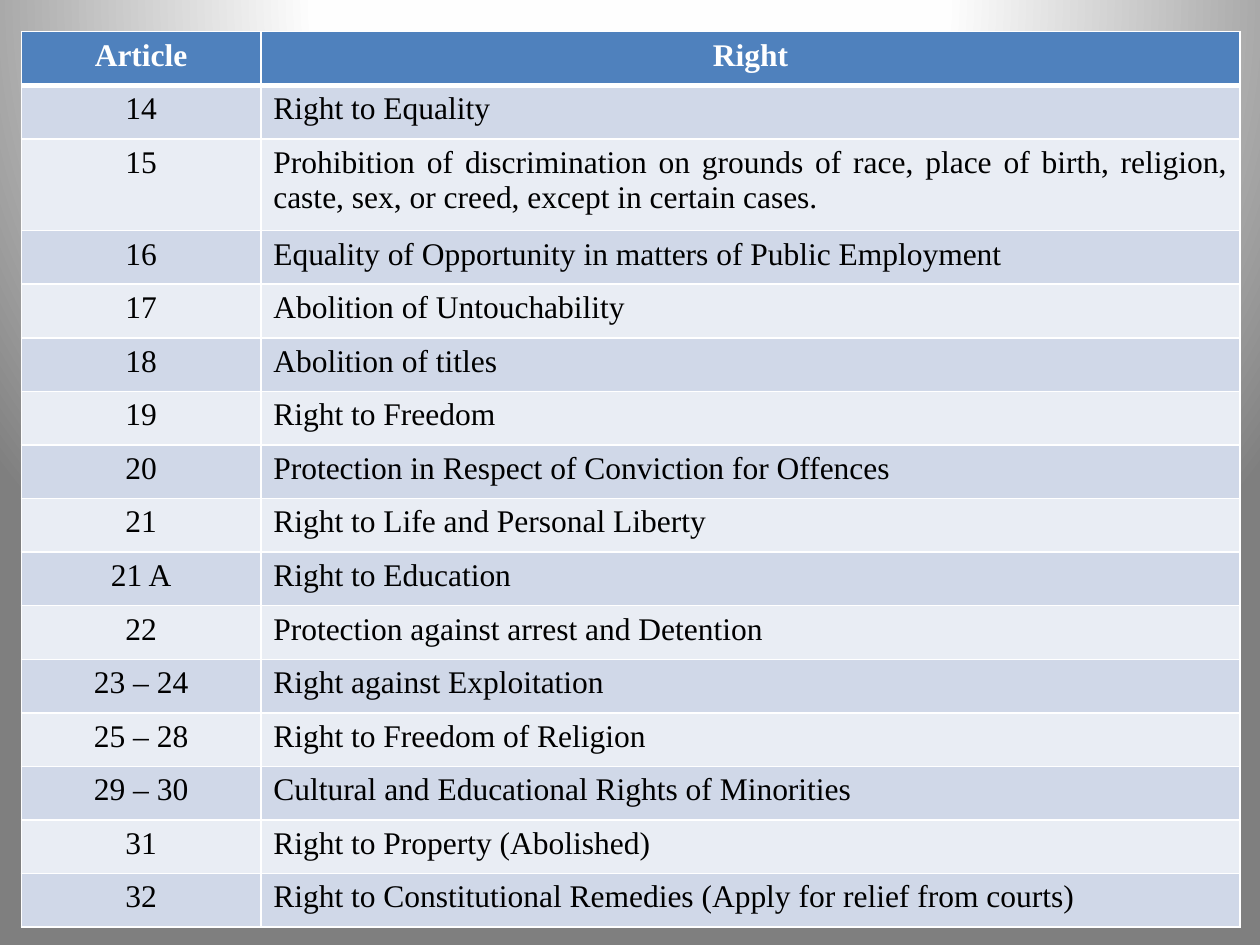
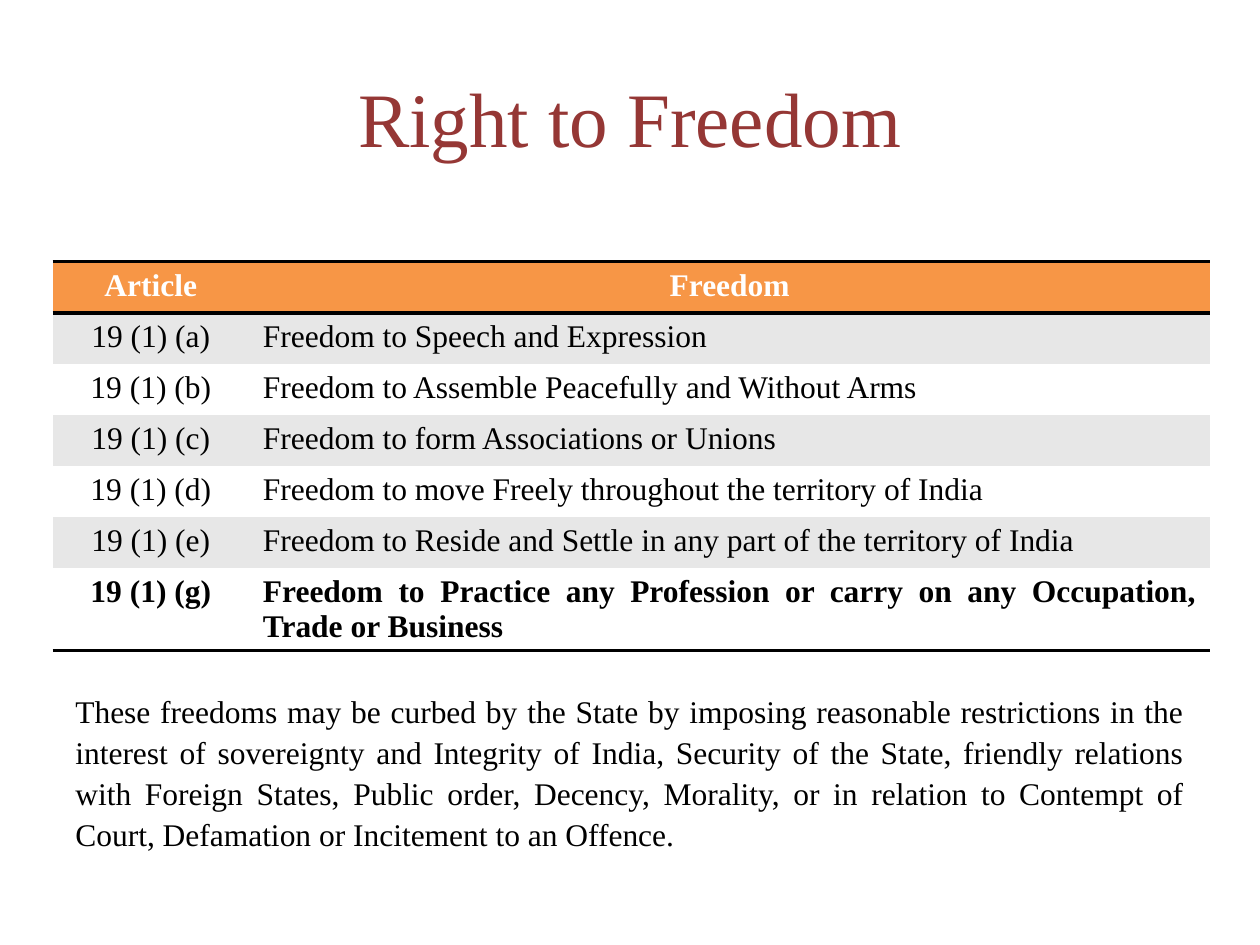
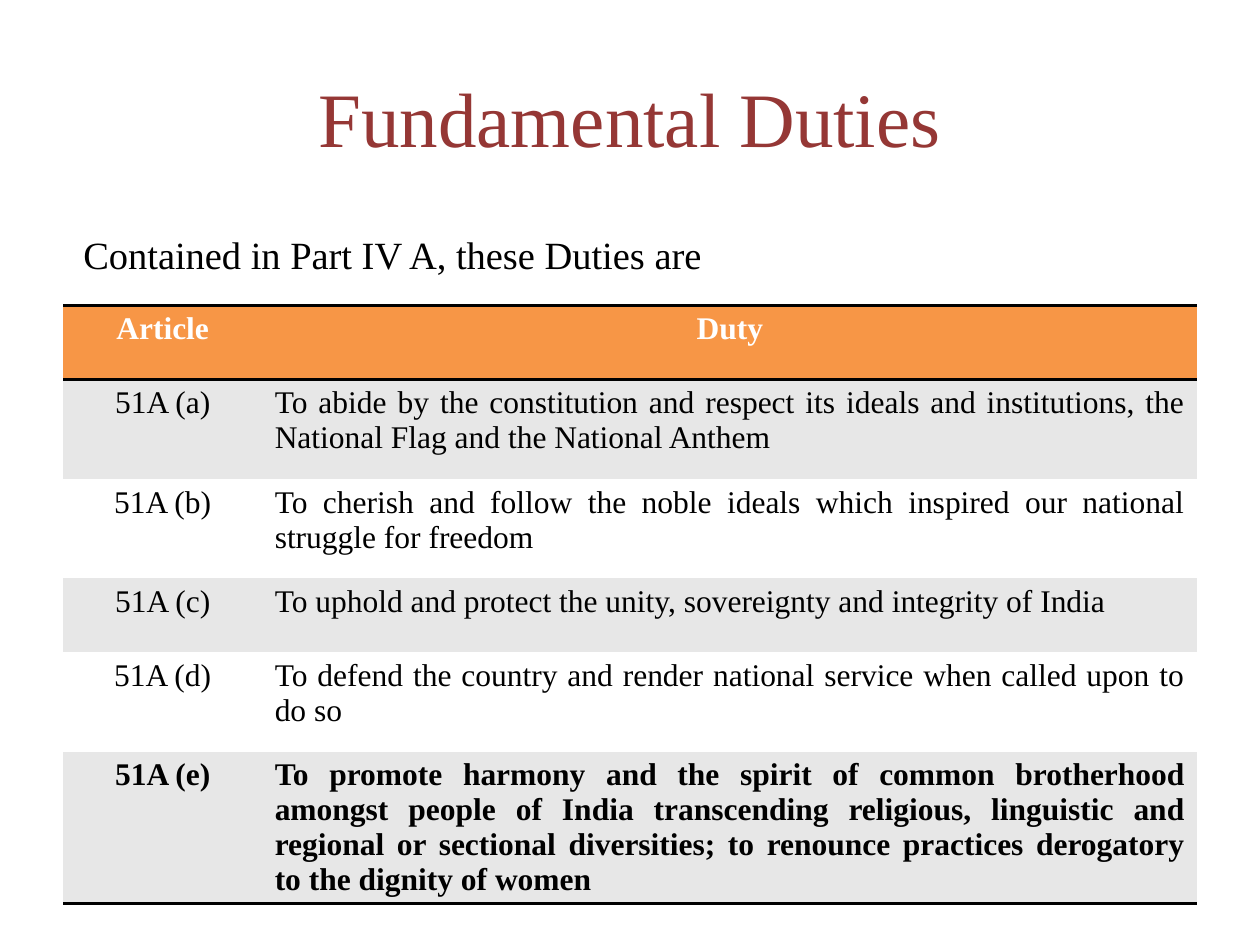
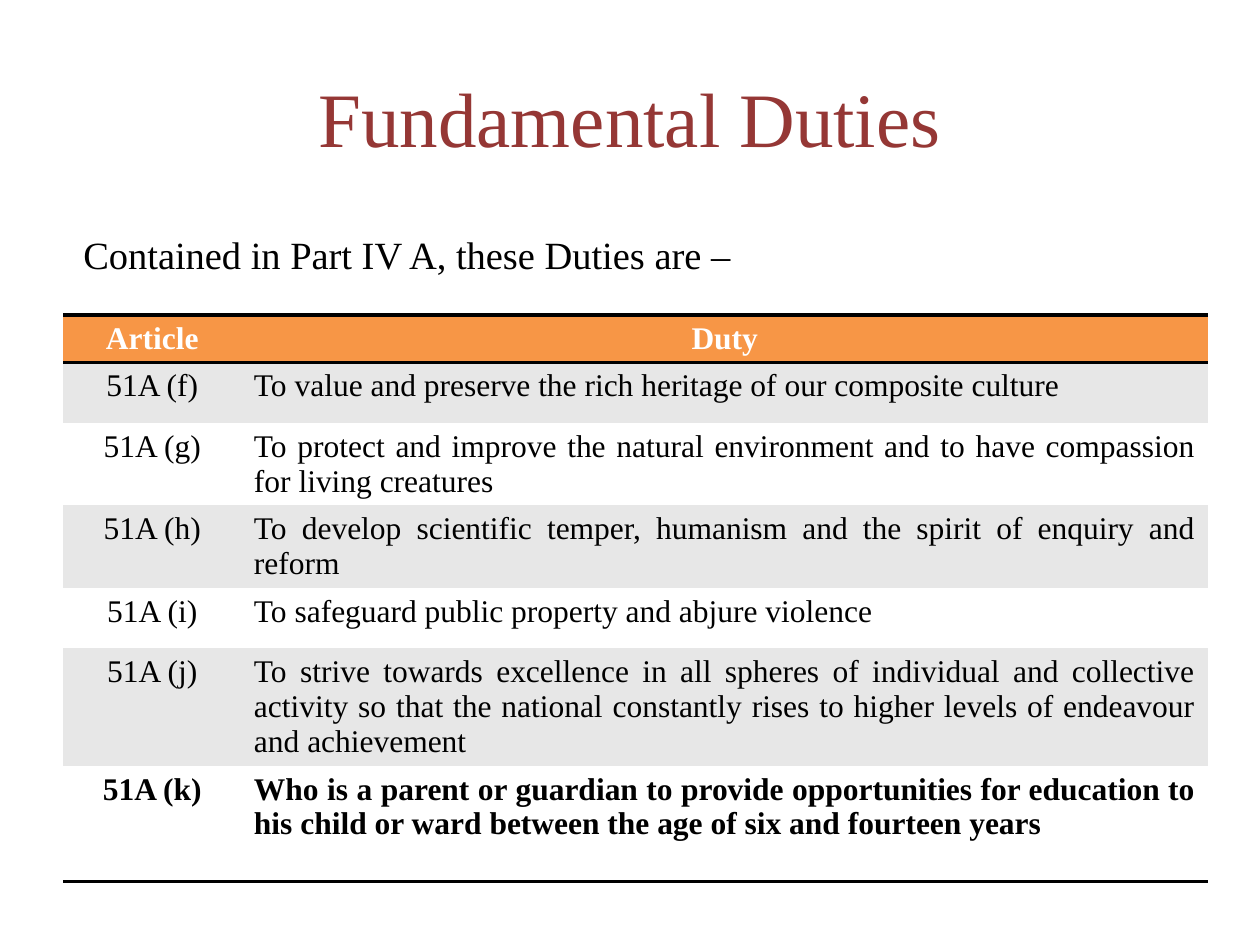
from dataclasses import dataclass
from typing import Any, Optional

import pptx
import pptx.dml.color
import pptx.enum.text
import pptx.oxml
import pptx.oxml.ns
import pptx.slide
import pptx.table
import pptx.text.text
import pptx.util

Cm = pptx.util.Cm
Pt = pptx.util.Pt
RGBColor = pptx.dml.color.RGBColor
Align = pptx.enum.text.PP_ALIGN

WHITE = RGBColor(0xFF, 0xFF, 0xFF)
BLACK = RGBColor(0x00, 0x00, 0x00)
MAROON = RGBColor(0x95, 0x37, 0x35)
BLUE = RGBColor(0x4F, 0x81, 0xBD)
BLUE_BAND = RGBColor(0xD0, 0xD8, 0xE8)
BLUE_PALE = RGBColor(0xE9, 0xED, 0xF4)
ORANGE = RGBColor(0xF7, 0x96, 0x46)
GREY_BAND = RGBColor(0xE7, 0xE7, 0xE7)

FONT_NAME = "Times New Roman"
TITLE_ONLY, BLANK = 5, 6
PLAIN_TABLE_STYLE = "{2D5ABB26-0587-4C30-8999-92F81FD0307C}"
SPOTLIGHT = (
    f'<a:gradFill {pptx.oxml.ns.nsdecls("a")} rotWithShape="1"><a:gsLst>'
    '<a:gs pos="0"><a:srgbClr val="FFFFFF"/></a:gs>'
    '<a:gs pos="40000"><a:srgbClr val="FEFEFE"/></a:gs>'
    '<a:gs pos="100000"><a:srgbClr val="7F7F7F"/></a:gs></a:gsLst>'
    '<a:path path="circle">'
    '<a:fillToRect l="50000" t="-80000" r="50000" b="180000"/>'
    "</a:path></a:gradFill>"
)


@dataclass(frozen=True)
class TableLook:
    header: RGBColor
    bands: tuple[RGBColor, RGBColor]
    line: RGBColor
    grid: bool
    bold_last_row: bool


@dataclass(frozen=True)
class ArticleTable:
    """Lengths are in centimetres."""
    left: float
    top: float
    columns: tuple[float, float]
    row_heights: list[float]
    rows: list[tuple[str, str]]
    look: TableLook
    side_margin: float = 0.25


@dataclass(frozen=True)
class Note:
    text: str
    top: float
    width: float
    height: float
    size: int
    left_margin: float = 0.25


@dataclass(frozen=True)
class Page:
    table: ArticleTable
    title: Optional[str] = None
    note: Optional[Note] = None


GRID_LOOK = TableLook(BLUE, (BLUE_BAND, BLUE_PALE), WHITE, True, False)
RULED_LOOK = TableLook(ORANGE, (GREY_BAND, WHITE), BLACK, False, True)

RIGHTS = [
    ("Article", "Right"),
    ("14", "Right to Equality"),
    ("15", "Prohibition of discrimination on grounds of race, place of birth, "
           "religion, caste, sex, or creed, except in certain cases."),
    ("16", "Equality of Opportunity in matters of Public Employment"),
    ("17", "Abolition of Untouchability"),
    ("18", "Abolition of titles"),
    ("19", "Right to Freedom"),
    ("20", "Protection in Respect of Conviction for Offences"),
    ("21", "Right to Life and Personal Liberty"),
    ("21 A", "Right to Education"),
    ("22", "Protection against arrest and Detention"),
    ("23 – 24", "Right against Exploitation"),
    ("25 – 28", "Right to Freedom of Religion"),
    ("29 – 30", "Cultural and Educational Rights of Minorities"),
    ("31", "Right to Property (Abolished)"),
    ("32", "Right to Constitutional Remedies (Apply for relief from courts)"),
]
FREEDOMS = [
    ("Article", "Freedom"),
    ("19 (1) (a)", "Freedom to Speech and Expression"),
    ("19 (1) (b)", "Freedom to Assemble Peacefully and Without Arms"),
    ("19 (1) (c)", "Freedom to form Associations or Unions"),
    ("19 (1) (d)", "Freedom to move Freely throughout the territory of India"),
    ("19 (1) (e)", "Freedom to Reside and Settle in any part of the territory "
                   "of India"),
    ("19 (1) (g)", "Freedom to Practice any Profession or carry on any "
                   "Occupation, Trade or Business"),
]
DUTIES_A_TO_E = [
    ("Article", "Duty"),
    ("51A (a)", "To abide by the constitution and respect its ideals and "
                "institutions, the National Flag and the National Anthem"),
    ("51A (b)", "To cherish and follow the noble ideals which inspired our "
                "national struggle for freedom"),
    ("51A (c)", "To uphold and protect the unity, sovereignty and integrity "
                "of India"),
    ("51A (d)", "To defend the country and render national service when "
                "called upon to do so"),
    ("51A (e)", "To promote harmony and the spirit of common brotherhood "
                "amongst people of India transcending religious, linguistic "
                "and regional or sectional diversities; to renounce practices "
                "derogatory to the dignity of women"),
]
DUTIES_F_TO_K = [
    ("Article", "Duty"),
    ("51A (f)", "To value and preserve the rich heritage of our composite "
                "culture"),
    ("51A (g)", "To protect and improve the natural environment and to have "
                "compassion for living creatures"),
    ("51A (h)", "To develop scientific temper, humanism and the spirit of "
                "enquiry and reform"),
    ("51A (i)", "To safeguard public property and abjure violence"),
    ("51A (j)", "To strive towards excellence in all spheres of individual "
                "and collective activity so that the national constantly "
                "rises to higher levels of endeavour and achievement"),
    ("51A (k)", "Who is a parent or guardian to provide opportunities for "
                "education to his child or ward between the age of six and "
                "fourteen years"),
]
RESTRICTIONS = (
    "These freedoms may be curbed by the State by imposing reasonable "
    "restrictions in the interest of sovereignty and Integrity of India, "
    "Security of the State, friendly relations with Foreign States, Public "
    "order, Decency, Morality, or in relation to Contempt of Court, "
    "Defamation or Incitement to an Offence."
)


def duties_note(text: str) -> Note:
    return Note(text, 4.45, 21.16, 1.19, size=22, left_margin=0.41)


PAGES = [
    Page(ArticleTable(0.43, 0.64, (4.83, 19.74),
                      [1.08] * 2 + [1.85] + [1.08] * 13, RIGHTS, GRID_LOOK)),
    Page(ArticleTable(1.06, 5.28, (3.96, 19.38), [1.03] * 7, FREEDOMS,
                      RULED_LOOK, side_margin=0.28),
         "Right to Freedom", Note(RESTRICTIONS, 13.77, 22.86, 3.33, size=18)),
    Page(ArticleTable(1.27, 6.15, (4.02, 18.85), [1.5, 2, 2, 1.5, 2, 2.84],
                      DUTIES_A_TO_E, RULED_LOOK),
         "Fundamental Duties",
         duties_note("Contained in Part IV A, these Duties are")),
    Page(ArticleTable(1.27, 6.35, (3.6, 19.48),
                      [0.53, 1.22, 1.63, 1.63, 1.22, 2.34, 2.34],
                      DUTIES_F_TO_K, RULED_LOOK),
         "Fundamental Duties",
         duties_note("Contained in Part IV A, these Duties are –")),
]


def set_attributes(target: Any, values: dict[str, Any]) -> None:
    for name, value in values.items():
        setattr(target, name, value)


def write_text(frame: pptx.text.text.TextFrame, text: str, size: int,
               color: RGBColor, alignment: Align, bold: bool = False) -> None:
    frame.text = text
    paragraph = frame.paragraphs[0]
    paragraph.alignment = alignment
    font = paragraph.runs[0].font
    set_attributes(font, {"name": FONT_NAME, "size": Pt(size), "bold": bold})
    font.color.rgb = color


def border_widths(look: TableLook, row: int, last_row: int) -> dict[str, int]:
    """Line width in points for each edge of a cell in the given row."""
    if look.grid:
        return {"L": 1, "R": 1, "T": 3 if row == 1 else 1,
                "B": 3 if row == 0 else 1}
    widths = {"T": 2} if row == 0 else {}
    if row in (0, last_row):
        widths["B"] = 2
    return widths


def add_borders(cell: pptx.table._Cell, widths: dict[str, int],
                color: RGBColor) -> None:
    properties = cell._tc.get_or_add_tcPr()
    for edge, width in widths.items():
        properties.append(pptx.oxml.parse_xml(
            f'<a:ln{edge} {pptx.oxml.ns.nsdecls("a")} w="{Pt(width)}">'
            f'<a:solidFill><a:srgbClr val="{color}"/></a:solidFill>'
            f"</a:ln{edge}>"))


def add_article_table(slide: pptx.slide.Slide, content: ArticleTable) -> None:
    look = content.look
    last_row = len(content.rows) - 1
    frame = slide.shapes.add_table(
        len(content.rows), len(content.columns), Cm(content.left),
        Cm(content.top), Cm(sum(content.columns)), Cm(sum(content.row_heights)))
    table = frame.table
    table._tbl.tblPr.find(
        pptx.oxml.ns.qn("a:tableStyleId")).text = PLAIN_TABLE_STYLE
    table.horz_banding = False
    for column, width in zip(table.columns, content.columns):
        column.width = Cm(width)
    for row, (texts, height) in enumerate(
            zip(content.rows, content.row_heights)):
        table.rows[row].height = Cm(height)
        is_header = row == 0
        bold = is_header or (look.bold_last_row and row == last_row)
        for column, text in enumerate(texts):
            cell = table.cell(row, column)
            set_attributes(cell, {"margin_left": Cm(content.side_margin),
                                  "margin_right": Cm(content.side_margin)})
            centred = is_header or column == 0
            write_text(cell.text_frame, text, 18,
                       WHITE if is_header else BLACK,
                       Align.CENTER if centred else Align.JUSTIFY, bold)
            add_borders(cell, border_widths(look, row, last_row), look.line)
            cell.fill.solid()
            cell.fill.fore_color.rgb = (
                look.header if is_header else look.bands[(row - 1) % 2])


def add_note(slide: pptx.slide.Slide, note: Note) -> None:
    box = slide.shapes.add_textbox(
        Cm(1.27), Cm(note.top), Cm(note.width), Cm(note.height))
    frame = box.text_frame
    set_attributes(frame, {
        "word_wrap": True,
        "auto_size": pptx.enum.text.MSO_AUTO_SIZE.SHAPE_TO_FIT_TEXT,
        "margin_left": Cm(note.left_margin),
    })
    write_text(frame, note.text, note.size, BLACK, Align.JUSTIFY)
    frame.paragraphs[0].line_spacing = 1.08


def add_title(slide: pptx.slide.Slide, text: str) -> None:
    title = slide.shapes.title
    set_attributes(title, {"left": Cm(1.27), "top": Cm(0.76),
                           "width": Cm(22.86), "height": Cm(3.18)})
    title.text_frame.vertical_anchor = pptx.enum.text.MSO_ANCHOR.MIDDLE
    write_text(title.text_frame, text, 44, MAROON, Align.CENTER)


def paint_spotlight(slide: pptx.slide.Slide) -> None:
    slide.background.fill.solid()
    properties = slide.element.find(".//" + pptx.oxml.ns.qn("p:bgPr"))
    properties.replace(properties[0], pptx.oxml.parse_xml(SPOTLIGHT))


def main() -> None:
    presentation = pptx.Presentation()
    set_attributes(presentation, {"slide_width": Cm(25.4),
                                  "slide_height": Cm(19.05)})
    for page in PAGES:
        layout = presentation.slide_layouts[TITLE_ONLY if page.title else BLANK]
        slide = presentation.slides.add_slide(layout)
        if page.title:
            add_title(slide, page.title)
        else:
            paint_spotlight(slide)
        add_article_table(slide, page.table)
        if page.note:
            add_note(slide, page.note)
    presentation.save("out.pptx")


if __name__ == "__main__":
    main()
